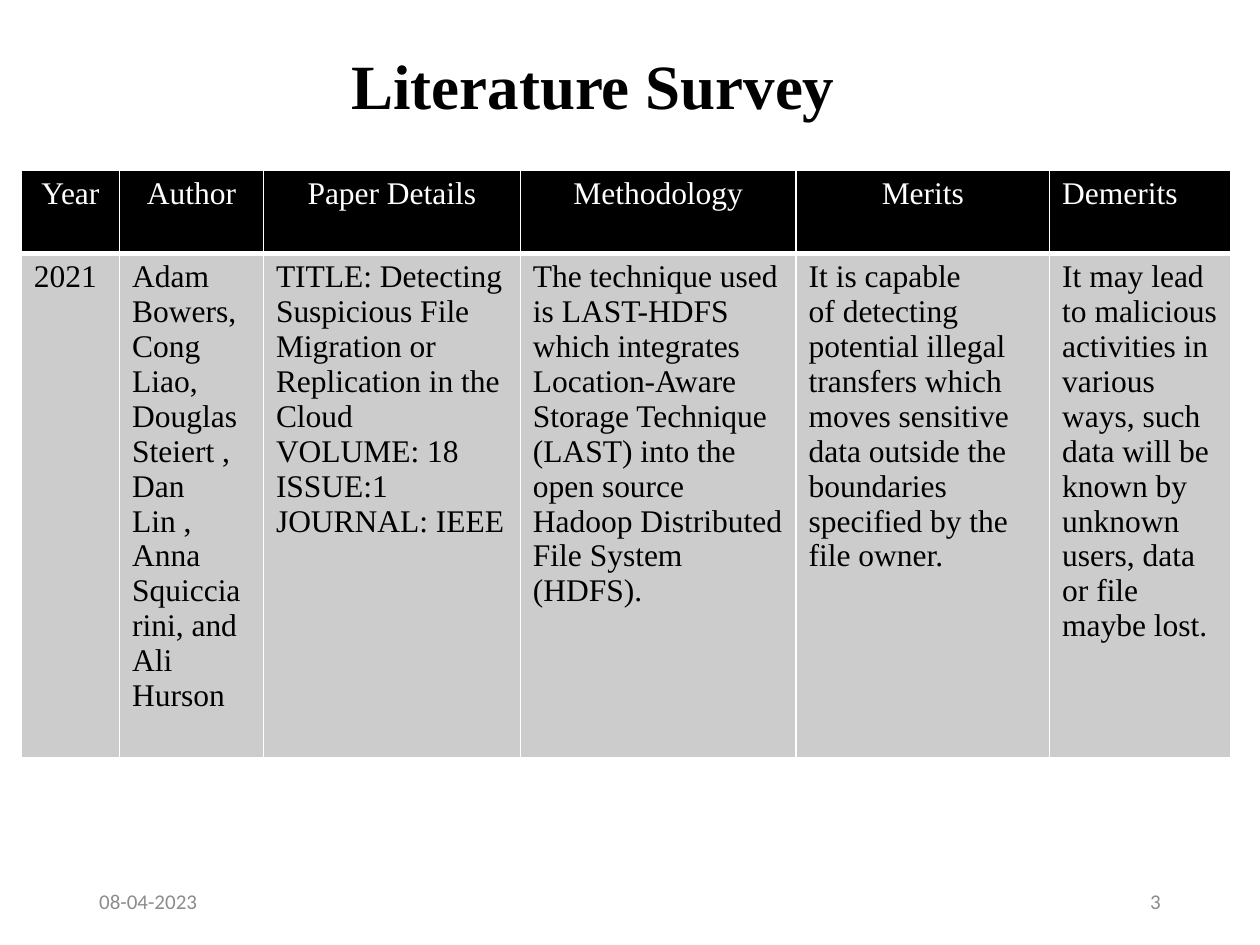
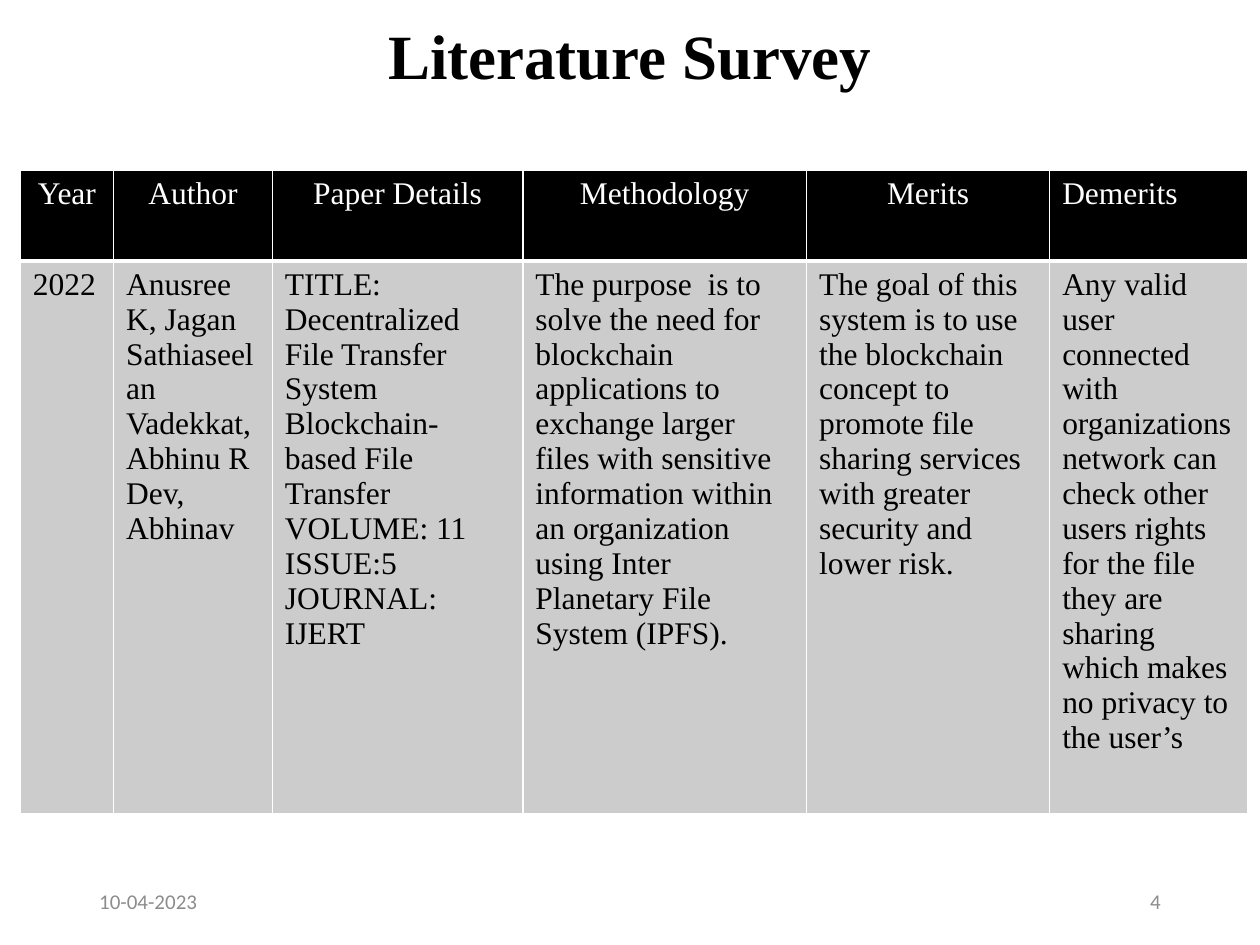
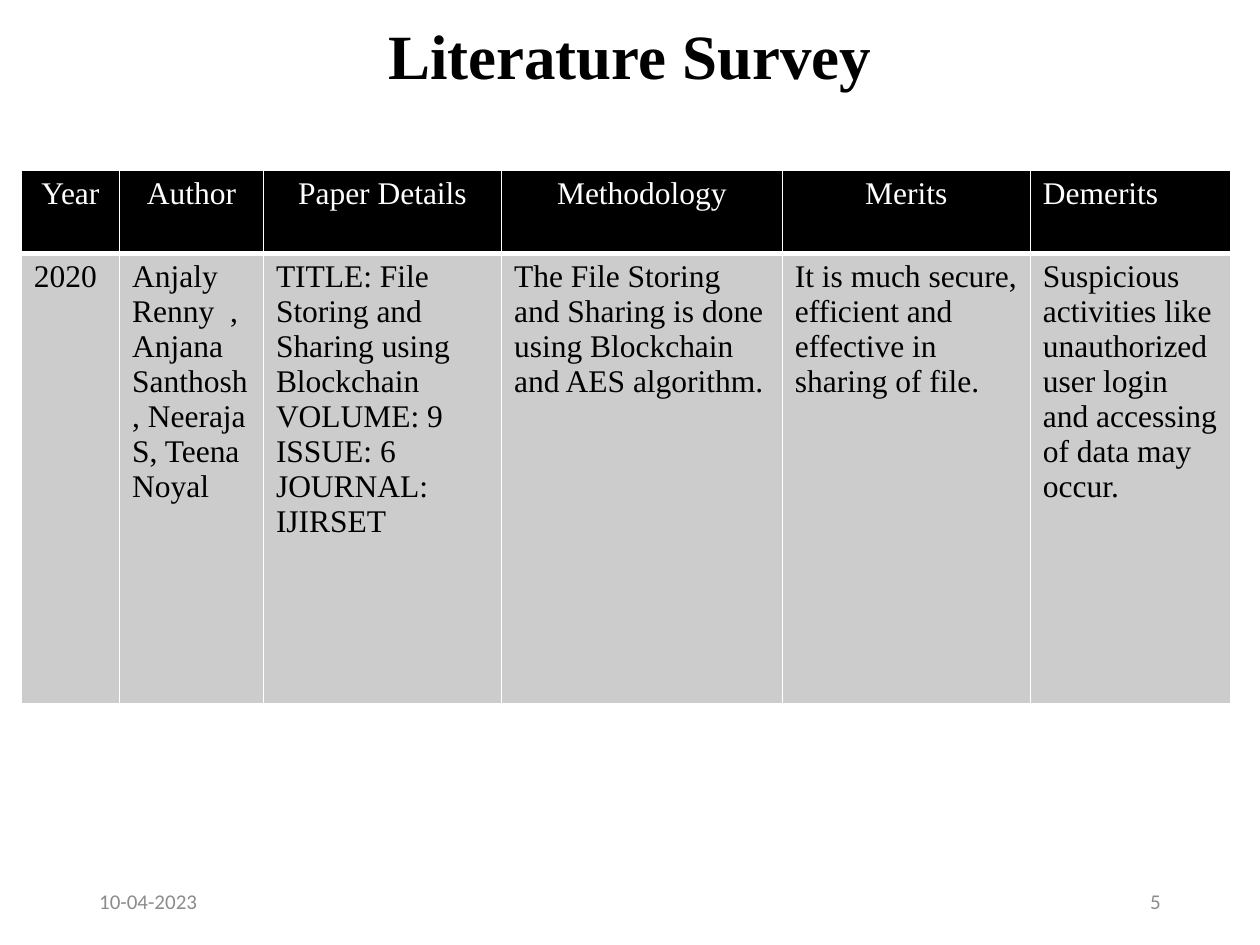
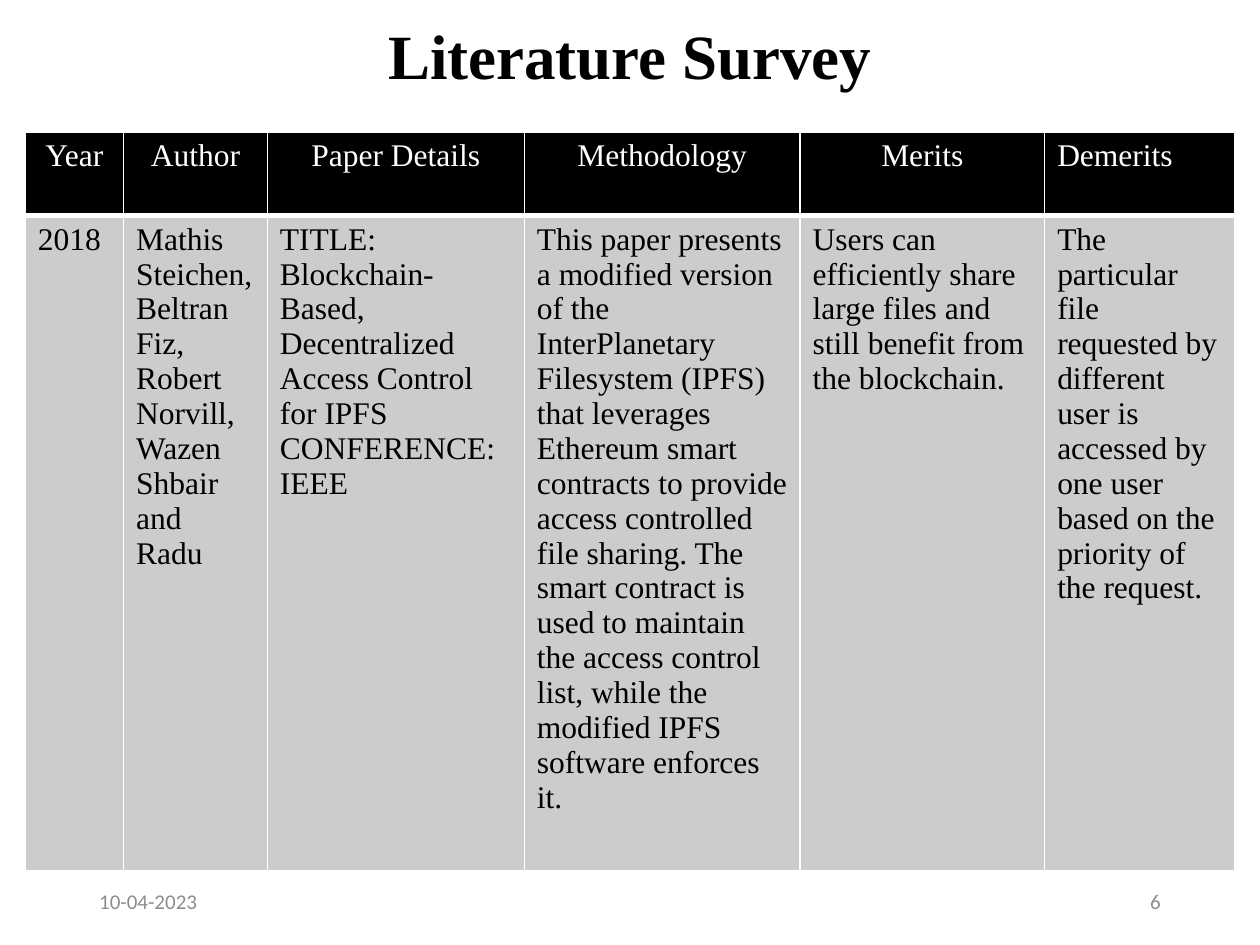
"""Build the literature survey slides: one paper per slide, as a table."""
from dataclasses import dataclass

from lxml import etree
from pptx import Presentation
from pptx.dml.color import RGBColor
from pptx.enum.text import MSO_ANCHOR, MSO_AUTO_SIZE, PP_ALIGN
from pptx.oxml.ns import qn
from pptx.util import Cm, Pt

LEFT, MID, RIGHT = PP_ALIGN.LEFT, PP_ALIGN.CENTER, PP_ALIGN.RIGHT
CENTRE = MSO_ANCHOR.MIDDLE
FIXED = MSO_AUTO_SIZE.NONE


@dataclass(frozen=True)
class Theme:
    serif: str = "Times New Roman"
    sans: str = "Calibri"
    black: str = "000000"
    white: str = "FFFFFF"
    body: str = "CCCCCC"
    grey: str = "8C8C8C"
    title: int = 36
    cell: int = 18
    foot: int = 12


THEME = Theme()
TITLE = "Literature Survey"
HEADS = ["Year", "Author", "Paper Details", "Methodology", "Merits", "Demerits"]
FIRST = 3
TOP_BOX = (1.75, 0.46, 21.9, 1.47)
DATE_BOX = (1.75, 17.65, 5.72, 1.02)
PAGE_BOX = (17.93, 17.65, 5.72, 1.02)

PAPERS = [
    {
        "date": "08-04-2023",
        "title": ((6.83, 0.79, 10.36, 1.8), LEFT, 1.0),
        "at": (0.43, 3.43),
        "cols": [1.98, 2.9, 5.18, 5.56, 5.11, 3.66],
        "rows": [1.68, 10.1],
        "cells": [
            "2021",
            "Adam Bowers, Cong Liao, Douglas Steiert , Dan Lin , Anna Squicciarini, "
            "and Ali Hurson",
            "TITLE: Detecting Suspicious File Migration or Replication in the Cloud\n"
            "VOLUME: 18\nISSUE:1\nJOURNAL: IEEE",
            "The technique used is LAST-HDFS which integrates Location-Aware Storage "
            "Technique (LAST) into the open source Hadoop Distributed File System (HDFS).",
            "It is capable\n"
            "of detecting potential illegal transfers which moves sensitive\n"
            "data outside the boundaries specified by the file owner.",
            "It may lead to malicious activities in various ways, such data will be "
            "known by unknown users, data or file maybe lost.",
        ],
    },
    {
        "date": "10-04-2023",
        "title": (TOP_BOX, MID, 0.9),
        "at": (0.41, 3.43),
        "cols": [1.88, 3.2, 5.05, 5.72, 4.9, 3.99],
        "rows": [1.83, 11.15],
        "cells": [
            "2022",
            "Anusree K, Jagan Sathiaseelan Vadekkat, Abhinu R Dev, Abhinav",
            "TITLE: Decentralized File Transfer System Blockchain-based File Transfer\n"
            "VOLUME: 11\nISSUE:5\nJOURNAL: IJERT",
            "The purpose  is to solve the need for blockchain applications to exchange "
            "larger files with sensitive information within an organization using Inter "
            "Planetary File System (IPFS).",
            "The goal of this system is to use the blockchain concept to promote file "
            "sharing services with greater security and lower risk.",
            "Any valid user connected with organizations network can check other users "
            "rights for the file they are sharing which makes no privacy to the user’s",
        ],
    },
    {
        "date": "10-04-2023",
        "title": (TOP_BOX, MID, 0.9),
        "at": (0.43, 3.43),
        "cols": [1.98, 2.9, 4.8, 5.66, 5.0, 4.04],
        "rows": [1.68, 9.07],
        "cells": [
            "2020",
            "Anjaly Renny  , Anjana Santhosh , Neeraja S, Teena Noyal",
            "TITLE: File Storing and Sharing using Blockchain\n"
            "VOLUME: 9\nISSUE: 6\nJOURNAL: IJIRSET",
            "The File Storing and Sharing is done using Blockchain and AES algorithm.",
            "It is much secure, efficient and effective in sharing of file.",
            "Suspicious activities like unauthorized user login and accessing of data "
            "may occur.",
        ],
    },
    {
        "date": "10-04-2023",
        "title": (TOP_BOX, MID, 0.9),
        "at": (0.51, 2.67),
        "cols": [1.98, 2.9, 5.18, 5.56, 4.93, 3.83],
        "rows": [1.68, 12.19],
        "cells": [
            "2018",
            "Mathis Steichen, Beltran Fiz, Robert Norvill, Wazen Shbair and Radu",
            "TITLE: Blockchain-Based, Decentralized Access Control for IPFS\n"
            "CONFERENCE: IEEE",
            "This paper presents a modified version of the InterPlanetary Filesystem "
            "(IPFS) that leverages Ethereum smart contracts to provide access controlled "
            "file sharing. The smart contract is used to maintain the access control "
            "list, while the modified IPFS software enforces it.",
            "Users can efficiently share large files and still benefit from the "
            "blockchain.",
            "The particular file requested by different user is accessed by one user "
            "based on the priority of the request.",
        ],
    },
]


def write(frame, text, face, size, color, align=LEFT, bold=False, gap=None):
    frame.text = text
    frame.word_wrap = True
    for para in frame.paragraphs:
        para.alignment = align
        para.line_spacing = gap
        for run in para.runs:
            font = run.font
            font.name, font.size, font.bold = face, Pt(size), bold
            font.color.rgb = RGBColor.from_string(color)


def add_title(slide, box, align, gap):
    shape = slide.shapes.title
    shape.left, shape.top, shape.width, shape.height = map(Cm, box)
    frame = shape.text_frame
    write(frame, TITLE, THEME.serif, THEME.title, THEME.black, align, True, gap)
    frame.auto_size = FIXED
    frame.vertical_anchor = CENTRE


def add_foot(slide, box, text, align):
    frame = slide.shapes.add_textbox(*map(Cm, box)).text_frame
    write(frame, text, THEME.sans, THEME.foot, THEME.grey, align)
    frame.vertical_anchor = CENTRE


def add_edges(cell, base):
    props = cell._tc.get_or_add_tcPr()
    for spot, side in enumerate("LRTB"):
        width = base if side == "B" else 1
        line = etree.Element(qn(f"a:ln{side}"), w=str(Pt(width)))
        fill = etree.SubElement(line, qn("a:solidFill"))
        etree.SubElement(fill, qn("a:srgbClr"), val=THEME.white)
        props.insert(spot, line)


def fill_cell(cell, text, ink, back, align, base):
    write(cell.text_frame, text, THEME.serif, THEME.cell, ink, align)
    cell.fill.solid()
    cell.fill.fore_color.rgb = RGBColor.from_string(back)
    add_edges(cell, base)


def add_grid(slide, paper):
    cols, rows = paper["cols"], paper["rows"]
    box = (*paper["at"], sum(cols), sum(rows))
    grid = slide.shapes.add_table(len(rows), len(cols), *map(Cm, box)).table
    grid.horz_banding = False
    for row, high in zip(grid.rows, rows):
        row.height = Cm(high)
    for spot, (head, text, wide) in enumerate(zip(HEADS, paper["cells"], cols)):
        grid.columns[spot].width = Cm(wide)
        align = LEFT if head == HEADS[-1] else MID
        fill_cell(grid.cell(0, spot), head, THEME.white, THEME.black, align, 3)
        fill_cell(grid.cell(1, spot), text, THEME.black, THEME.body, LEFT, 1)


def main():
    deck = Presentation()
    deck.slide_width, deck.slide_height = Cm(25.4), Cm(19.05)
    for page, paper in enumerate(PAPERS, FIRST):
        slide = deck.slides.add_slide(deck.slide_layouts[5])
        add_title(slide, *paper["title"])
        add_foot(slide, DATE_BOX, paper["date"], LEFT)
        add_foot(slide, PAGE_BOX, str(page), RIGHT)
        add_grid(slide, paper)
    deck.save("out.pptx")


if __name__ == "__main__":
    main()
